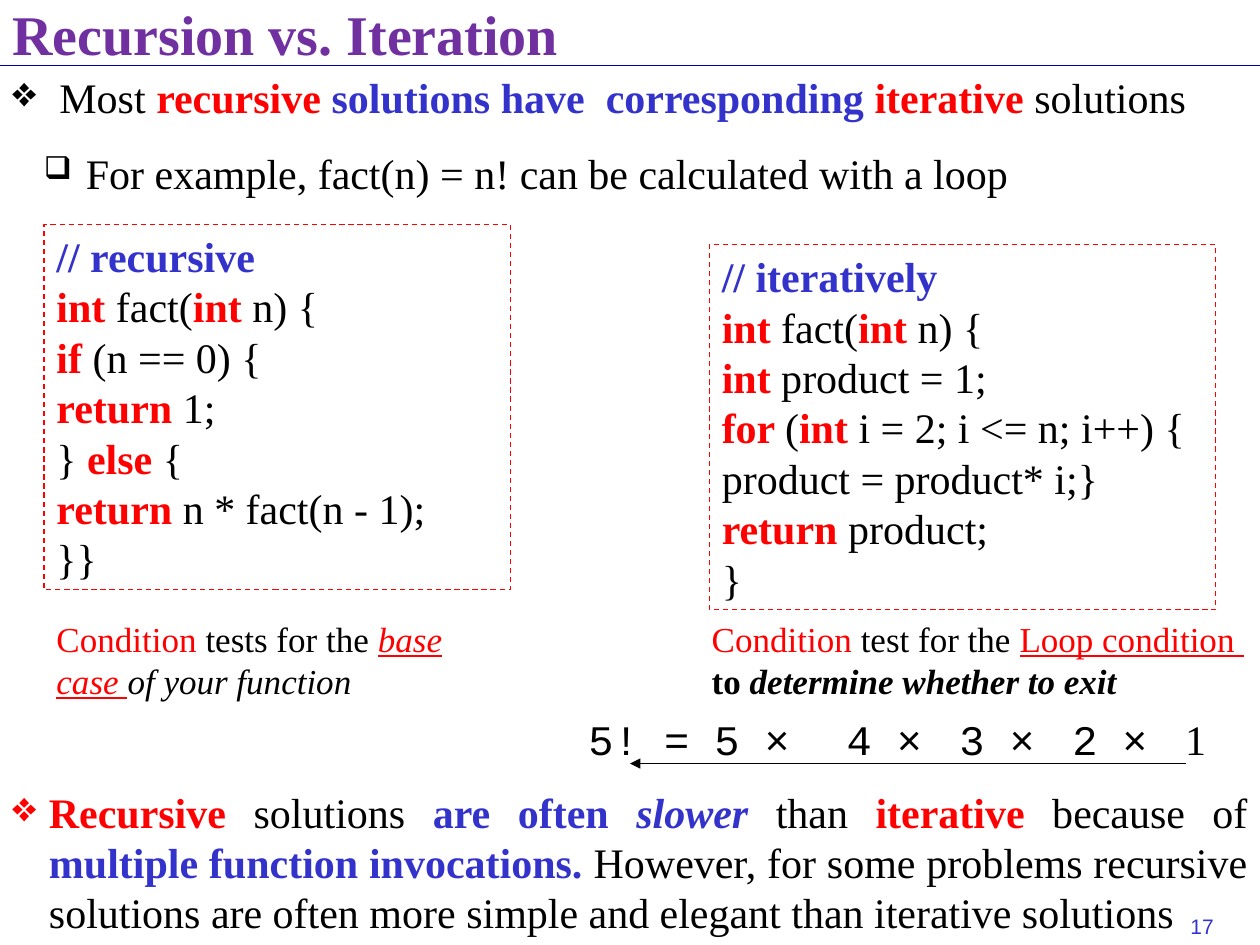
from dataclasses import dataclass
from lxml.etree import SubElement as Sub
from pptx import Presentation
from pptx.dml.color import RGBColor as Rgb
from pptx.enum.dml import MSO_LINE as Dash
from pptx.enum.shapes import MSO_CONNECTOR as Conn, MSO_SHAPE as Shape
from pptx.enum.text import MSO_ANCHOR as Anchor, PP_ALIGN as Align
from pptx.oxml.ns import qn
from pptx.util import Inches, Pt


@dataclass(frozen=True)
class Theme:
    black: str = "000000"
    red: str = "FF0000"
    blue: str = "3333CC"
    navy: str = "000099"
    purple: str = "7030A0"
    serif: str = "Times New Roman"
    sans: str = "Arial"
    mono: str = "Courier New"
    head: int = 32
    body: int = 24
    note: int = 20
    page: int = 12


T = Theme()


def write(para, parts, size=T.body):
    """Add runs from (text, colour, flags, font); flags are any of b, i, u."""
    for text, color, flags, face in parts:
        run = para.add_run()
        run.text = text
        font = run.font
        font.name, font.size = face, Pt(size)
        font.color.rgb = Rgb.from_string(color)
        font.bold = "b" in flags
        font.italic = "i" in flags
        font.underline = "u" in flags


def part(text, color=T.black, flags="", face=T.serif):
    return text, color, flags, face


def setup(frame, inset=(0.1, 0.05), wrap=True):
    frame.word_wrap = wrap
    side, edge = map(Inches, inset)
    frame.margin_left = frame.margin_right = side
    frame.margin_top = frame.margin_bottom = edge
    return frame


def add_text(slide, at, parts=(), size=T.body, **opts):
    box = slide.shapes.add_textbox(*map(Inches, at))
    frame = setup(box.text_frame, **opts)
    write(frame.paragraphs[0], parts, size)
    return frame


def bullet(para, char, left, hang, color, scale=100):
    props = para._p.get_or_add_pPr()
    props.set("marL", str(Inches(left)))
    props.set("indent", str(-Inches(hang)))
    tint = Sub(props, qn("a:buClr"))
    Sub(tint, qn("a:srgbClr"), val=color)
    Sub(props, qn("a:buSzPct"), val=str(scale * 1000))
    Sub(props, qn("a:buChar"), char=char)


def set_tabs(para, stops):
    tabs = Sub(para._p.get_or_add_pPr(), qn("a:tabLst"))
    for stop in stops:
        Sub(tabs, qn("a:tab"), pos=str(Inches(stop)), algn="l")


def add_code(slide, at, title, lines):
    """Draw a dashed code box; words between bars are keywords."""
    box = slide.shapes.add_shape(Shape.RECTANGLE, *map(Inches, at))
    box.shadow.inherit = False
    box.fill.background()
    box.line.color.rgb = Rgb.from_string(T.red)
    box.line.width = Pt(0.75)
    box.line.dash_style = Dash.DASH
    frame = setup(box.text_frame)
    frame.vertical_anchor = Anchor.TOP
    first = frame.paragraphs[0]
    first.alignment = Align.LEFT
    write(first, [part(title, T.blue, "b")])
    for line in lines:
        para = frame.add_paragraph()
        para.alignment = Align.LEFT
        write(para, [part(text, T.red, "b") if n % 2 else part(text)
                     for n, text in enumerate(line.split("|")) if text])


def add_line(slide, start, end, color, width, arrow=False):
    line = slide.shapes.add_connector(
        Conn.STRAIGHT, *map(Inches, start + end))
    line.line.color.rgb = Rgb.from_string(color)
    line.line.width = Pt(width)
    props = line._element.spPr
    if arrow:
        Sub(line.line._get_or_add_ln(), qn("a:tailEnd"), type="triangle")
    Sub(props, qn("a:effectLst"))


def add_intro(slide):
    frame = add_text(slide, (0, 0.52, 10, 1.1), [
        part(" Most "), part("recursive ", T.red, "b"),
        part("solutions have  corresponding ", T.blue, "b"),
        part("iterative ", T.red, "b"), part("solutions")])
    bullet(frame.paragraphs[0], "❖", 0.29, 0.29, T.black)
    para = frame.add_paragraph()
    para.level = 1
    para.line_spacing = 1.5
    bullet(para, "❑", 0.5, 0.25, T.black, 75)
    write(para, [
        part(" For example, fact(n) = n! can be calculated with a loop")])


def add_product(slide):
    parts = []
    for text in ("5! = 5 ", "4 ", "3 ", "2 "):
        parts += [part(text, face=T.mono), part("×\t", face=T.sans)]
    frame = add_text(slide, (4.67, 5.66, 4.98, 0.4), parts + [part("1")],
                     inset=(0, 0))
    set_tabs(frame.paragraphs[0], [2.05 + 0.895 * n for n in range(4)])
    add_line(slide, (9.41, 6.06), (5, 6.06), T.black, 0.75, arrow=True)


def add_verdict(slide):
    frame = add_text(slide, (0, 6.19, 10, 1.3), [
        part("Recursive", T.red, "b"), part(" solutions "),
        part("are often ", T.blue, "b"), part("slower ", T.blue, "bi"),
        part("than "), part("iterative ", T.red, "b"), part("because of "),
        part("multiple function invocations.", T.blue, "b"),
        part(" However, for some problems recursive solutions are often "
             "more simple and elegant than iterative solutions")])
    para = frame.paragraphs[0]
    para.alignment = Align.JUSTIFY
    bullet(para, "❖", 0.29, 0.29, T.red)


def main():
    deck = Presentation()
    deck.slide_width, deck.slide_height = Inches(10), Inches(7.5)
    slide = deck.slides.add_slide(deck.slide_layouts[6])

    add_text(slide, (9.35, 7.2, 0.96, 0.3),
             [part("17", T.blue, face=T.sans)], T.page, wrap=False)
    add_line(slide, (0, 0.52), (10, 0.52), T.navy, 1)
    add_intro(slide)
    title = add_text(slide, (0, 0, 10, 0.52),
                     [part("Recursion vs. Iteration", T.purple, "b")], T.head)
    title.vertical_anchor = Anchor.MIDDLE

    add_code(slide, (0.35, 1.78, 3.7, 2.9), "// recursive", [
        "|int |fact(|int| n) {", "|if| (n == 0) {", "|return |1;",
        "} |else| {", "|return| n * fact(n - 1);", "}}"])
    add_code(slide, (5.63, 1.94, 4.02, 2.9), "// iteratively", [
        "|int| fact(|int| n) {", "|int| product = 1;",
        "|for |(|int| i = 2; i <= n; i++) {", "product = product* i;}",
        "|return |product;", "}"])
    add_text(slide, (0.35, 4.85, 3.54, 0.77), [
        part("Condition ", T.red), part("tests for the "),
        part("base case ", T.red, "iu"),
        part("of your function", flags="i")], T.note)
    add_text(slide, (5.55, 4.85, 4.45, 0.77), [
        part("Condition ", T.red), part("test for the "),
        part("Loop condition ", T.red, "u"), part(" ", T.red),
        part("to ", flags="b"),
        part("determine whether to exit", flags="bi")], T.note)
    add_product(slide)
    add_verdict(slide)
    deck.save("out.pptx")


if __name__ == "__main__":
    main()
